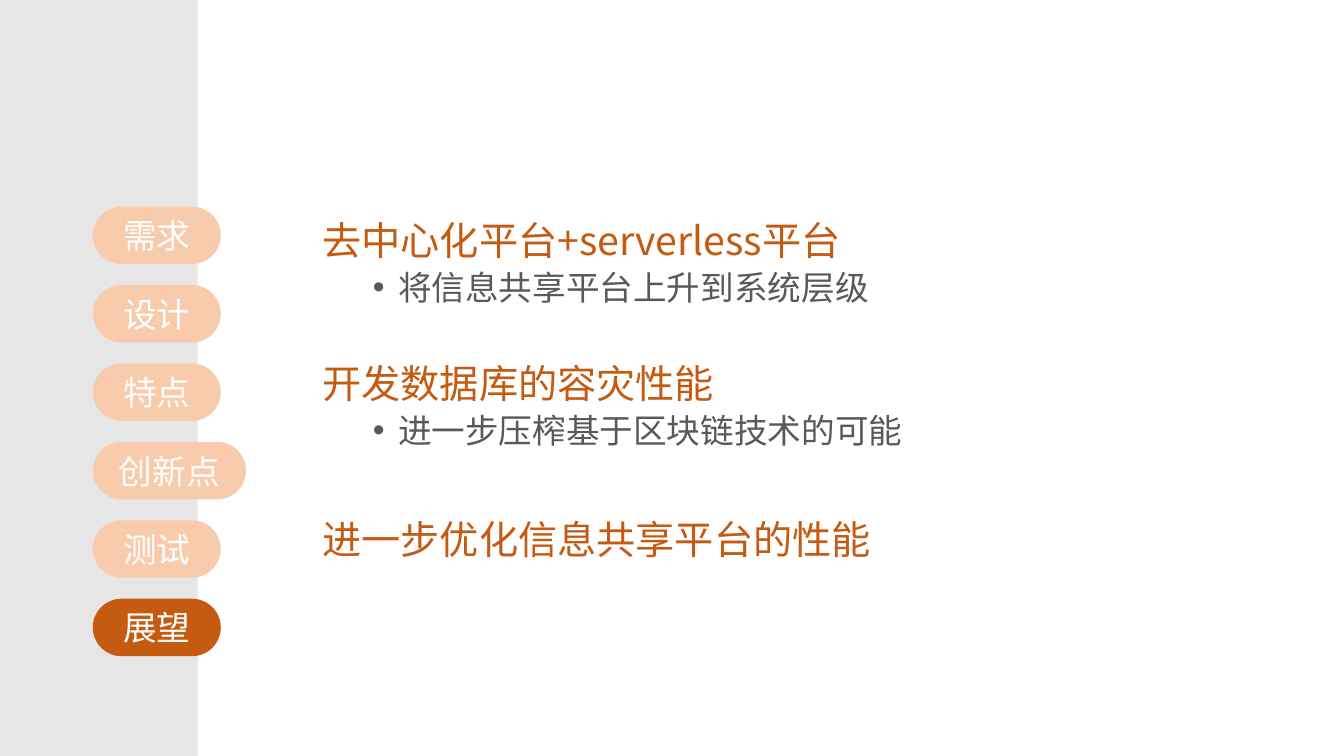
from lxml import etree
from pptx import Presentation
from pptx.dml.color import RGBColor
from pptx.enum import shapes, text
from pptx.oxml.ns import qn
from pptx.util import Inches, Pt

FONT = "Noto Sans CJK SC"
WHITE = RGBColor(0xFF, 0xFF, 0xFF)
GREY = RGBColor(0xE7, 0xE6, 0xE6)
PEACH = RGBColor(0xF8, 0xCB, 0xAD)
ORANGE = RGBColor(0xC5, 0x5A, 0x11)
DARK_GREY = RGBColor(0x59, 0x59, 0x59)

SECTIONS = ["需求", "设计", "特点", "创新点", "测试", "展望"]
CURRENT = "展望"
PILL_HEIGHT = Inches(0.57)

# Each goal: heading, its details, space before the heading in points
GOALS = [
    ("去中心化平台+serverless平台", ["将信息共享平台上升到系统层级"], 0),
    ("开发数据库的容灾性能", ["进一步压榨基于区块链技术的可能"], 41),
    ("进一步优化信息共享平台的性能", [], 50),
]


def add_run(paragraph, wording, size, color):
    """Add text with the same typeface for Latin and Chinese letters."""
    run = paragraph.add_run()
    run.text = wording
    for key, value in {"name": FONT, "size": Pt(size)}.items():
        setattr(run.font, key, value)
    run.font.color.rgb = color
    etree.SubElement(run.font._element, qn("a:ea"), typeface=FONT)


def add_plain_shape(slide, kind, box, color):
    shape = slide.shapes.add_shape(kind, *box)
    shape.shadow.inherit = False
    shape.fill.solid()
    shape.fill.fore_color.rgb = color
    shape.line.fill.background()
    return shape


def add_section_pills(slide, left, top, height):
    """Spread the sections evenly down the height, the current one darker."""
    pitch = (height - PILL_HEIGHT) / (len(SECTIONS) - 1)
    for row, section in enumerate(SECTIONS):
        width = Inches(1.27 if len(section) == 2 else 1.52)
        box = (left, int(top + row * pitch), width, PILL_HEIGHT)
        pill = add_plain_shape(slide, shapes.MSO_SHAPE.ROUNDED_RECTANGLE, box,
                               ORANGE if section == CURRENT else PEACH)
        pill.adjustments[0] = 0.5
        pill.text_frame.vertical_anchor = text.MSO_ANCHOR.MIDDLE
        label = pill.text_frame.paragraphs[0]
        label.alignment = text.PP_ALIGN.CENTER
        add_run(label, section, 24, WHITE)


def make_bullet(paragraph):
    props = paragraph._p.get_or_add_pPr()
    props.set("marL", str(Inches(0.75)))
    props.set("indent", str(Inches(-0.25)))
    etree.SubElement(props, qn("a:buFont"), typeface="Arial")
    etree.SubElement(props, qn("a:buChar"), char="•")


def add_goals(slide, box):
    frame = slide.shapes.add_textbox(*box).text_frame
    frame.word_wrap = True
    paragraph = frame.paragraphs[0]
    for heading, details, gap in GOALS:
        if gap:
            paragraph = frame.add_paragraph()
        paragraph.space_before = Pt(gap)
        add_run(paragraph, heading, 28, ORANGE)
        for detail in details:
            paragraph = frame.add_paragraph()
            paragraph.level = 1
            paragraph.space_before = Pt(5)
            make_bullet(paragraph)
            add_run(paragraph, detail, 24, DARK_GREY)
    for paragraph in frame.paragraphs:
        paragraph.line_spacing = 0.9


def main():
    deck = Presentation()
    deck.slide_width, deck.slide_height = Inches(13.33), Inches(7.5)
    slide = deck.slides.add_slide(deck.slide_layouts[6])
    add_plain_shape(slide, shapes.MSO_SHAPE.RECTANGLE,
                    (0, 0, Inches(1.96), deck.slide_height), GREY)
    add_section_pills(slide, Inches(0.92), Inches(2.05), Inches(4.46))
    add_goals(slide, [Inches(n) for n in (3.1, 2.15, 9.31, 4.58)])
    deck.save("out.pptx")


if __name__ == "__main__":
    main()
